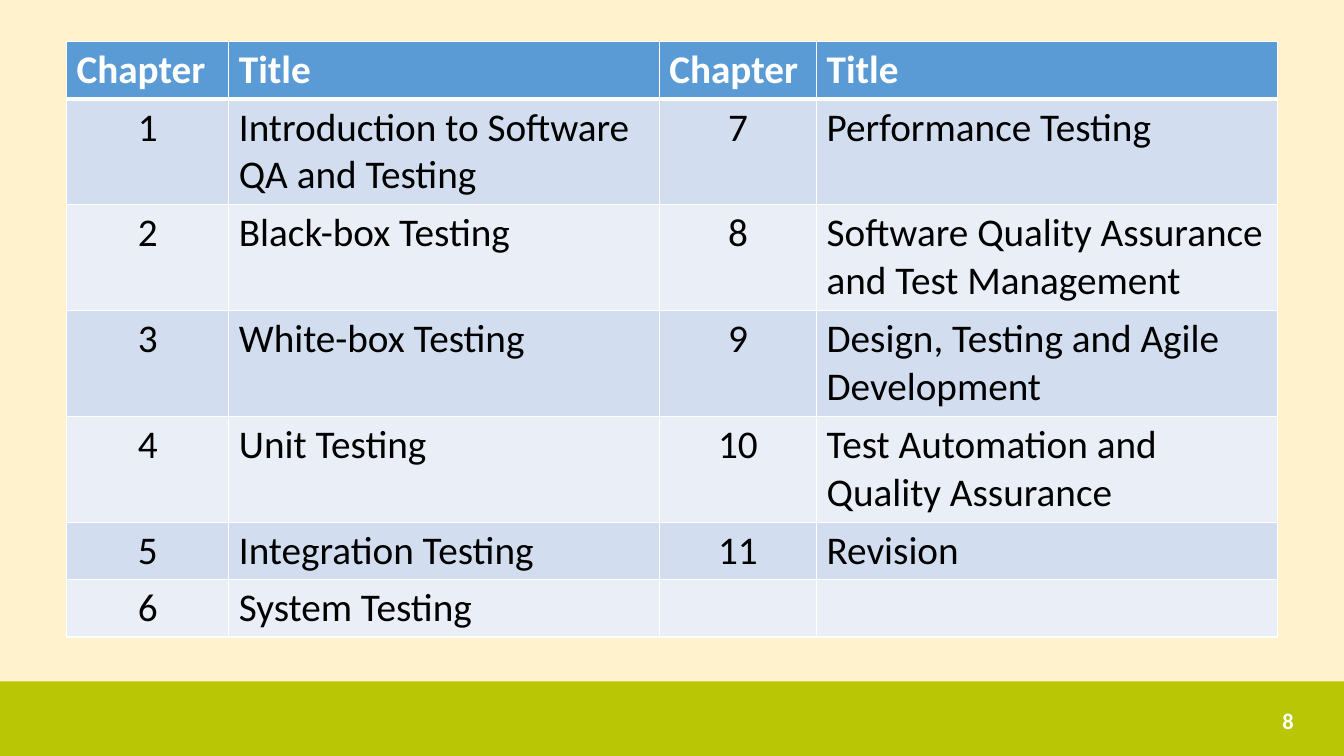
from lxml.etree import SubElement
from pptx import Presentation
from pptx.dml.color import RGBColor
from pptx.enum.shapes import MSO_SHAPE
from pptx.enum.text import MSO_ANCHOR, PP_ALIGN
from pptx.oxml.ns import qn
from pptx.util import Inches, Pt

HEADER = ("Chapter", "Title", "Chapter", "Title")
CHAPTERS = [
    ("1", "Introduction to Software QA and Testing", "7", "Performance Testing"),
    ("2", "Black-box Testing", "8", "Software Quality Assurance and Test Management"),
    ("3", "White-box Testing", "9", "Design, Testing and Agile Development"),
    ("4", "Unit Testing", "10", "Test Automation and Quality Assurance"),
    ("5", "Integration Testing", "11", "Revision"),
    ("6", "System Testing", "", ""),
]
PAGE_NUMBER = "8"

COLUMN_WIDTHS = (1.61, 4.27, 1.56, 4.57)
ONE_LINE, TWO_LINES = 0.57, 1.05
ROW_HEIGHTS = [ONE_LINE] + [TWO_LINES] * 4 + [ONE_LINE] * 2

FONT = "Calibri"
CREAM = RGBColor(0xFF, 0xF2, 0xCC)
LIME = RGBColor(0xB8, 0xC6, 0x05)
BLUE = RGBColor(0x5B, 0x9B, 0xD5)
BANDS = (RGBColor(0xD2, 0xDE, 0xEF), RGBColor(0xEA, 0xEF, 0xF7))
WHITE = RGBColor(0xFF, 0xFF, 0xFF)
BLACK = RGBColor(0x00, 0x00, 0x00)


def write(text_frame, text, size, color, bold, align):
    """Add one formatted run to the first paragraph."""
    paragraph = text_frame.paragraphs[0]
    paragraph.alignment = align
    run = paragraph.add_run()
    run.text = text
    run.font.name = FONT
    run.font.size = Pt(size)
    run.font.bold = bold
    run.font.color.rgb = color


def add_borders(cell, top, bottom):
    """Draw white borders, with the top and bottom widths in points."""
    properties = cell._tc.get_or_add_tcPr()
    for side, width in (("L", 1), ("R", 1), ("T", top), ("B", bottom)):
        line = SubElement(properties, qn(f"a:ln{side}"), w=str(Pt(width)))
        fill = SubElement(line, qn("a:solidFill"))
        SubElement(fill, qn("a:srgbClr"), val=str(WHITE))


def add_footer(slide):
    """Add the bottom band and the page number."""
    band = slide.shapes.add_shape(
        MSO_SHAPE.RECTANGLE, 0, Inches(6.76), Inches(13.33), Inches(0.74))
    band.shadow.inherit = False
    band.fill.solid()
    band.fill.fore_color.rgb = LIME
    band.line.fill.background()
    number = slide.shapes.add_textbox(
        Inches(9.42), Inches(6.95), Inches(3.51), Inches(0.4))
    number.text_frame.word_wrap = True
    number.text_frame.vertical_anchor = MSO_ANCHOR.MIDDLE
    write(number.text_frame, PAGE_NUMBER, 16, WHITE, True, PP_ALIGN.RIGHT)


def add_chapter_table(slide):
    """Add the banded table of chapters."""
    rows = [HEADER] + CHAPTERS
    table = slide.shapes.add_table(
        len(rows), len(HEADER), Inches(0.66), Inches(0.41),
        Inches(sum(COLUMN_WIDTHS)), Inches(sum(ROW_HEIGHTS))).table
    for column, width in zip(table.columns, COLUMN_WIDTHS):
        column.width = Inches(width)
    for row, height in zip(table.rows, ROW_HEIGHTS):
        row.height = Inches(height)
    for i, texts in enumerate(rows):
        is_header = i == 0
        for j, text in enumerate(texts):
            cell = table.cell(i, j)
            add_borders(cell, 3 if i == 1 else 1, 3 if is_header else 1)
            cell.fill.solid()
            cell.fill.fore_color.rgb = BLUE if is_header else BANDS[(i - 1) % 2]
            if text:
                centred = not is_header and j % 2 == 0
                write(cell.text_frame, text, 28, WHITE if is_header else BLACK,
                      is_header, PP_ALIGN.CENTER if centred else PP_ALIGN.LEFT)


def main():
    """Build and save the chapter overview slide."""
    presentation = Presentation()
    presentation.slide_width = Inches(13.33)
    presentation.slide_height = Inches(7.5)
    slide = presentation.slides.add_slide(presentation.slide_layouts[6])
    slide.background.fill.solid()
    slide.background.fill.fore_color.rgb = CREAM
    add_footer(slide)
    add_chapter_table(slide)
    presentation.save("out.pptx")


if __name__ == "__main__":
    main()
